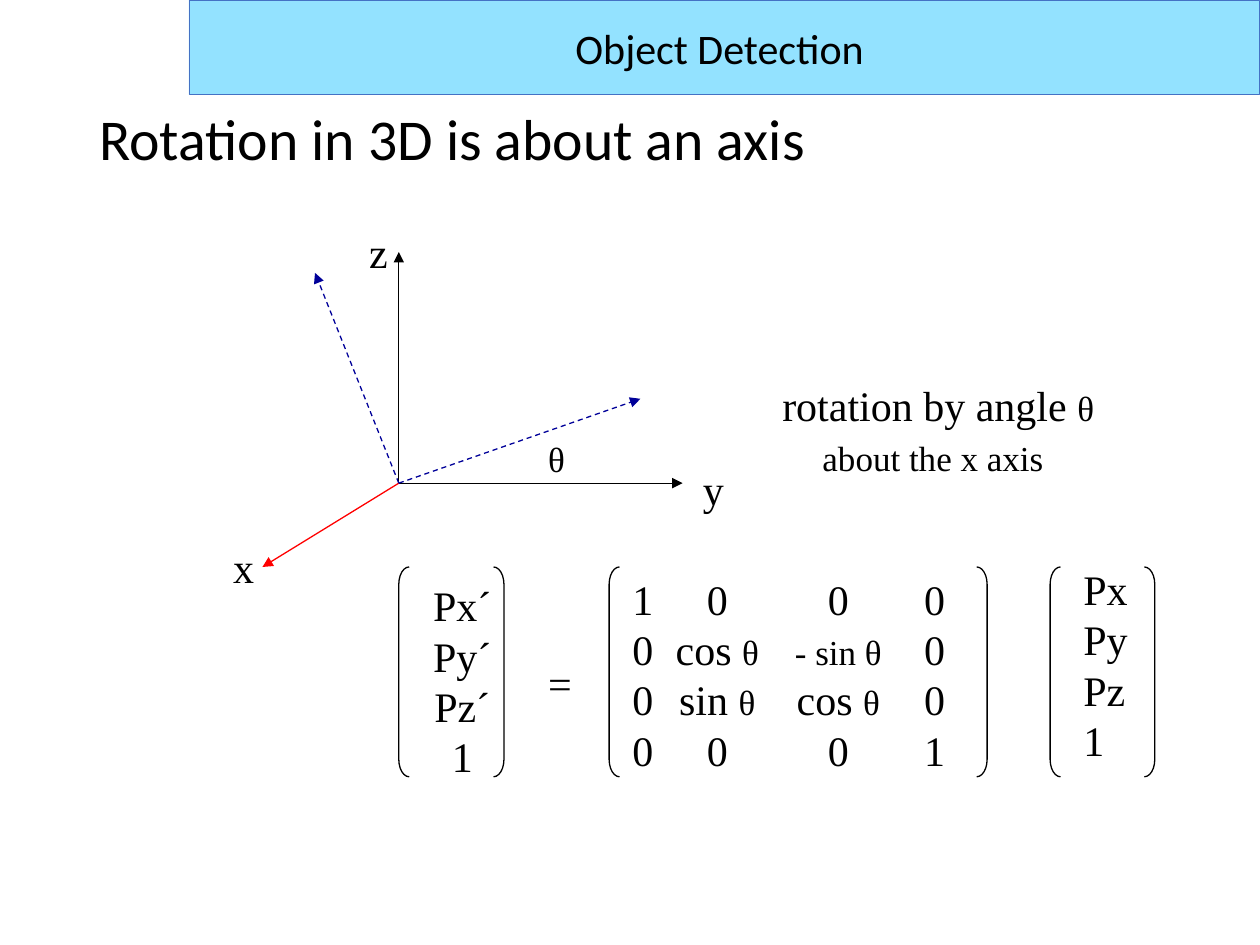
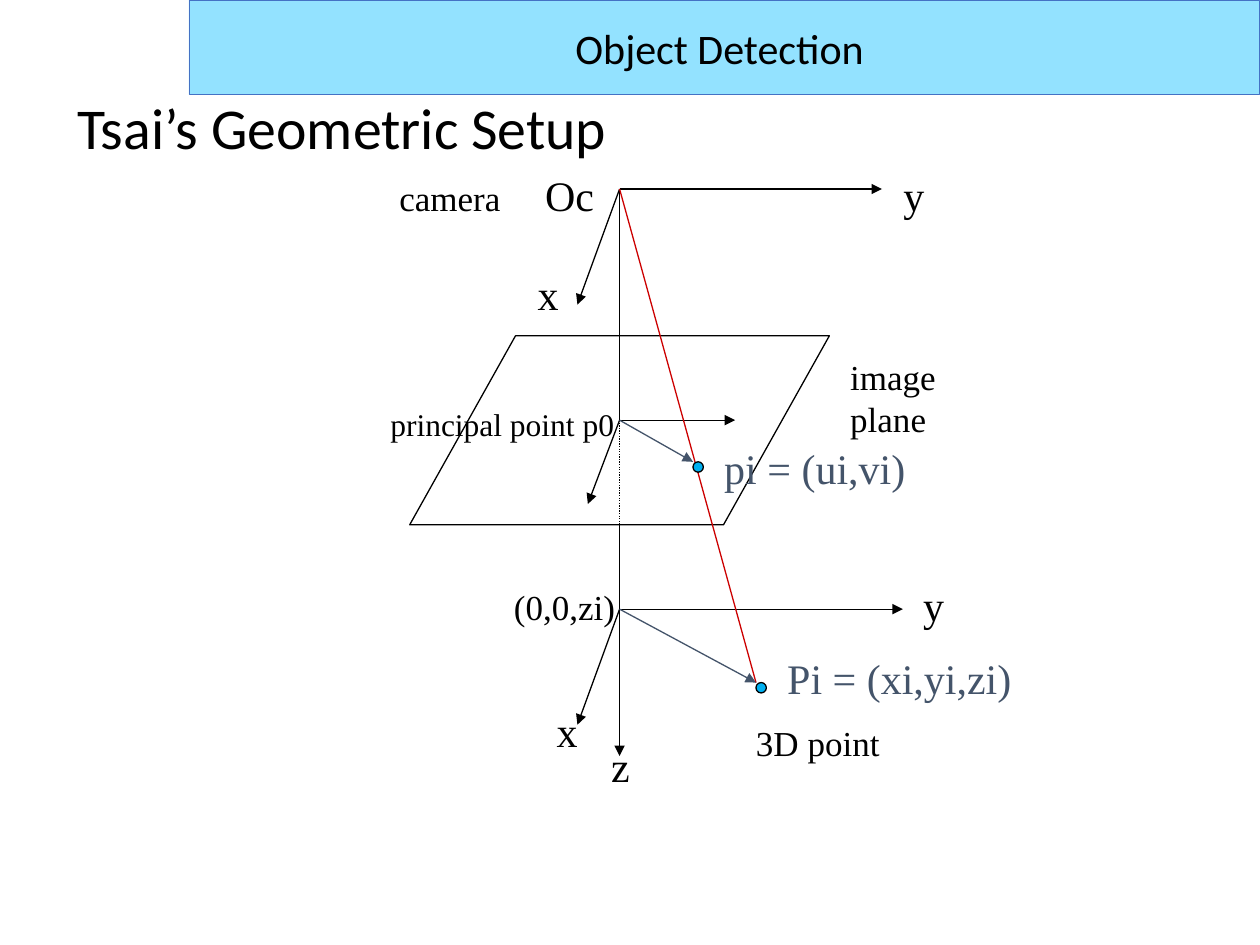
from lxml import etree
from pptx import Presentation
from pptx.dml.color import RGBColor
from pptx.enum.dml import MSO_LINE
from pptx.enum.shapes import MSO_CONNECTOR, MSO_SHAPE
from pptx.enum.text import MSO_ANCHOR, MSO_AUTO_SIZE, PP_ALIGN
from pptx.oxml.ns import qn
from pptx.util import Cm, Pt

LEFT, CENTER = PP_ALIGN.LEFT, PP_ALIGN.CENTER
MIDDLE, TOP = MSO_ANCHOR.MIDDLE, MSO_ANCHOR.TOP
DASH, DOT = MSO_LINE.DASH, MSO_LINE.ROUND_DOT
STRAIGHT = MSO_CONNECTOR.STRAIGHT
RECTANGLE, ELLIPSE = MSO_SHAPE.RECTANGLE, MSO_SHAPE.OVAL
PARALLELOGRAM = MSO_SHAPE.PARALLELOGRAM
LEFT_BRACKET, RIGHT_BRACKET = MSO_SHAPE.LEFT_BRACKET, MSO_SHAPE.RIGHT_BRACKET

COLORS = {
    "black": "000000",
    "band": "93E2FF",
    "band_line": "4472C4",
    "x_axis": "FF0000",
    "rotated": "000099",
    "ray": "CC0000",
    "vector": "44546A",
    "point": "00B0F0",
}
HEADING_FONT, LABEL_FONT = "Calibri", "Times New Roman"
TITLE_ONLY = 5


def color(name):
    return RGBColor.from_string(COLORS[name])


def write_text(frame, lines, font=LABEL_FONT, size=24, fill="black",
               align=LEFT, anchor=TOP, wrap=False, spacing=None, tabs=()):
    """Each line is a string, or a list of (text, size) runs."""
    frame.word_wrap = wrap
    frame.auto_size = MSO_AUTO_SIZE.NONE
    frame.vertical_anchor = anchor
    if isinstance(lines, str):
        lines = [lines]
    for number, line in enumerate(lines):
        paragraph = frame.add_paragraph() if number else frame.paragraphs[0]
        if tabs:
            properties = paragraph._p.get_or_add_pPr()
            tab_list = etree.SubElement(properties, qn("a:tabLst"))
            for position in tabs:
                etree.SubElement(tab_list, qn("a:tab"),
                                 pos=str(Cm(position)), algn="ctr")
        paragraph.alignment = align
        paragraph.line_spacing = spacing
        runs = [(line, size)] if isinstance(line, str) else line
        for text, run_size in runs:
            run = paragraph.add_run()
            run.text = text
            run.font.name = font
            run.font.size = Pt(run_size)
            run.font.color.rgb = color(fill)


class Deck:
    def __init__(self):
        self.presentation = Presentation()
        self.presentation.slide_width = Cm(25.4)
        self.presentation.slide_height = Cm(19.05)
        self.slide = None

    def new_slide(self, title, left, top):
        layout = self.presentation.slide_layouts[TITLE_ONLY]
        self.slide = self.presentation.slides.add_slide(layout)
        shape = self.slide.shapes.title
        shape.left, shape.top = Cm(left), Cm(top)
        shape.width, shape.height = Cm(21.9), Cm(3.68)
        write_text(shape.text_frame, title, font=HEADING_FONT, size=33,
                   anchor=MIDDLE, wrap=True, spacing=0.9)

    def band(self):
        shape = self.shape(RECTANGLE, 3.81, 0, 21.59, 1.91,
                           fill="band", line="band_line", weight=0.5)
        write_text(shape.text_frame, "Object Detection ", font=HEADING_FONT,
                   align=CENTER, anchor=MIDDLE, wrap=True)

    def label(self, lines, left, top, width=0.94, height=1.27, **text_format):
        box = self.slide.shapes.add_textbox(Cm(left), Cm(top), Cm(width), Cm(height))
        write_text(box.text_frame, lines, **text_format)

    def shape(self, kind, left, top, width, height, fill=None, line="black",
              weight=0.75, adjustment=None):
        shape = self.slide.shapes.add_shape(kind, Cm(left), Cm(top),
                                            Cm(width), Cm(height))
        shape.shadow.inherit = False
        if fill:
            shape.fill.solid()
            shape.fill.fore_color.rgb = color(fill)
        else:
            shape.fill.background()
        shape.line.color.rgb = color(line)
        shape.line.width = Pt(weight)
        if adjustment is not None:
            shape.adjustments[0] = adjustment
        return shape

    def line(self, start, end, stroke="black", dash=None, arrow=True):
        points = [Cm(value) for value in (*start, *end)]
        connector = self.slide.shapes.add_connector(STRAIGHT, *points)
        connector.line.color.rgb = color(stroke)
        connector.line.width = Pt(0.75)
        if dash:
            connector.line.dash_style = dash
        if arrow:
            etree.SubElement(connector.line._get_or_add_ln(),
                             qn("a:tailEnd"), type="triangle")
        etree.SubElement(connector._element.spPr, qn("a:effectLst"))

    def brackets(self, left, right):
        for kind, position in ((LEFT_BRACKET, left), (RIGHT_BRACKET, right)):
            self.shape(kind, position, 11.43, 0.21, 4.23, adjustment=1.67)

    def point(self, left, top):
        self.shape(ELLIPSE, left, top, 0.21, 0.21, fill="point")


def rotation_slide(deck):
    deck.new_slide("Rotation in 3D is about an axis", 1.75, 1.02)

    # Axes and rotated axes
    origin = (8.04, 9.74)
    deck.line(origin, (8.04, 5.08))
    deck.line(origin, (13.76, 9.74))
    deck.line(origin, (5.29, 11.43), stroke="x_axis")
    for tip in ((12.91, 8.04), (6.35, 5.5)):
        deck.line(origin, tip, stroke="rotated", dash=DASH)
    deck.label("x", 4.45, 10.8)
    deck.label("y", 13.92, 9.22)
    deck.label("z", 7.19, 4.45, 0.89)
    deck.label("θ", 10.8, 8.69, 0.89, 1.09, size=20)
    deck.label([[("rotation by angle ", 24), ("θ", 20)],
                [("about the x axis", 20), (" ", 24)]],
               15.42, 7.52, 6.99, 2.29, align=CENTER)

    # Matrix equation
    deck.label(["Px´", "Py´", "Pz´", "1"], 8.48, 11.56, 1.68, 4.32, align=CENTER)
    deck.label("=", 10.8, 13.13, 0.99)
    deck.label(["1\t0\t0\t0",
                [("0\tcos ", 24), ("θ\t- sin θ\t", 20), ("0", 24)],
                [("0\tsin ", 24), ("θ", 20), ("\tcos ", 24), ("θ\t", 20), ("0", 24)],
                "0\t0\t0\t1"],
               12.5, 11.43, 7.2, 4.32, wrap=True, tabs=(1.71, 4.15, 6.09))
    deck.label(["Px", "Py", "Pz", "1"], 21.59, 11.23, 1.4, 4.32)
    for left, right in ((8.04, 9.95), (12.28, 19.69), (21.17, 23.07)):
        deck.brackets(left, right)
    deck.band()


def geometry_slide(deck):
    deck.new_slide("Tsai’s Geometric Setup", 1.3, 0.8)
    axis = 12.49
    camera, principal, depth = (axis, 3.81), (axis, 8.47), (axis, 12.28)
    plane_bottom = (axis, 10.58)
    image_point, world_point = (13.97, 9.31), (15.24, 13.76)

    # Image plane and optical axis
    deck.shape(PARALLELOGRAM, 8.26, 6.77, 8.46, 3.81, adjustment=0.56)
    deck.line(camera, principal, arrow=False)
    deck.line(principal, plane_bottom, dash=DOT, arrow=False)
    deck.line(plane_bottom, (axis, 15.24))

    # x and y axes at each level
    for start, x_tip, y_end in ((camera, (11.64, 6.14), 17.78),
                                (principal, (11.85, 10.16), 14.82),
                                (depth, (11.64, 14.61), 18.2)):
        deck.line(start, x_tip)
        deck.line(start, (y_end, start[1]))

    # Viewing ray, vectors and points
    deck.line(camera, world_point, stroke="ray", arrow=False)
    for start, end in ((principal, image_point), (depth, world_point)):
        deck.line(start, end, stroke="vector")
        deck.point(*end)

    # Labels
    for text, left, top in (("x", 10.59, 5.28), ("y", 17.96, 3.3),
                            ("x", 10.97, 14.1), ("y", 18.36, 11.56),
                            ("z", 12.07, 14.81)):
        deck.label(text, left, top)
    deck.label("Oc", 10.74, 3.3, 1.5)
    deck.label("principal point p0", 7.62, 8.05, 5.03, 1.02, size=18)
    deck.label("pi = (ui,vi)", 14.35, 8.79, 4.17, fill="vector")
    deck.label("Pi = (xi,yi,zi)", 15.62, 13.03, 5.03, fill="vector")
    for text, left, top, width in (("(0,0,zi)", 10.11, 11.68, 2.54),
                                   ("camera", 7.8, 3.43, 2.54),
                                   ("3D point", 14.99, 14.43, 3)):
        deck.label(text, left, top, width, 1.09, size=20)
    deck.label("image plane", 16.89, 7.04, 2.6, 1.94, size=20, wrap=True)
    deck.band()


def main():
    deck = Deck()
    rotation_slide(deck)
    geometry_slide(deck)
    deck.presentation.save("out.pptx")


if __name__ == "__main__":
    main()
